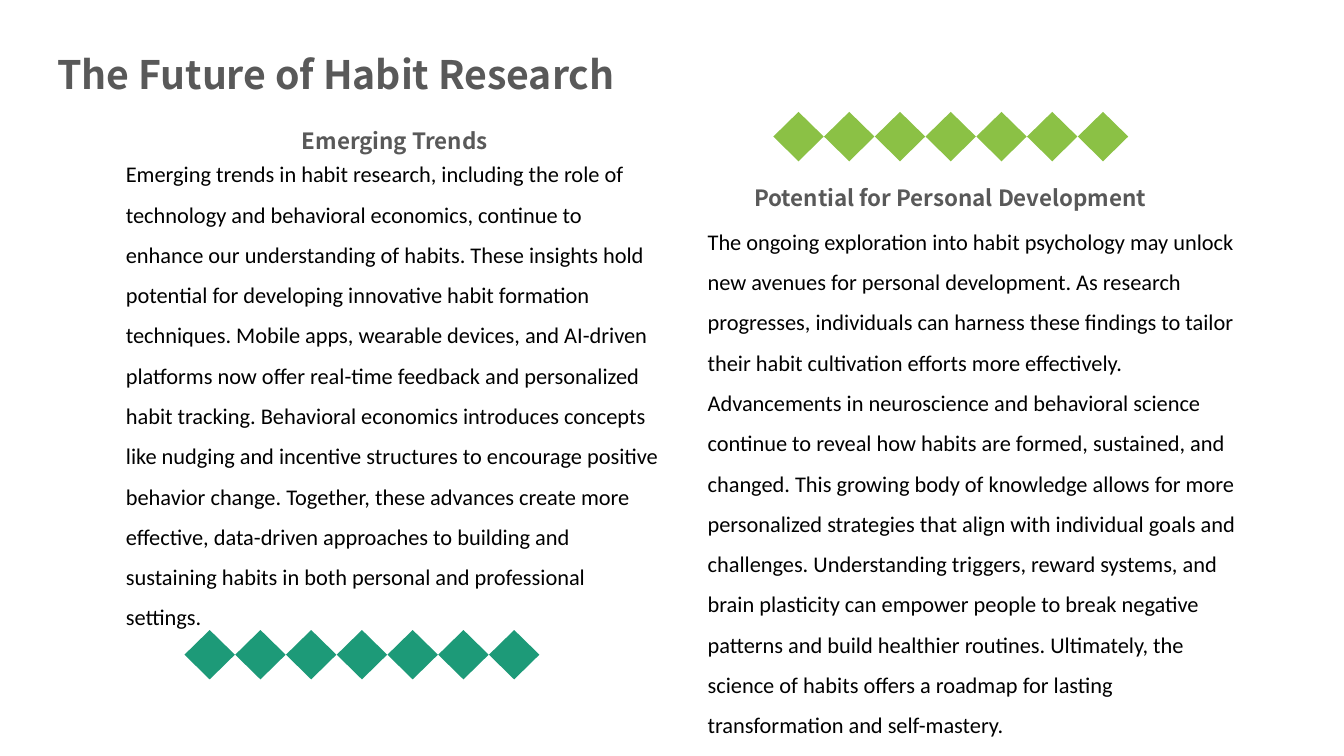
from dataclasses import dataclass
from pptx import Presentation
from pptx.dml.color import RGBColor
from pptx.enum.shapes import MSO_SHAPE
from pptx.enum.text import MSO_AUTO_SIZE, PP_ALIGN
from pptx.util import Inches, Pt

# Content
TITLE = "The Future of Habit Research"
TRENDS = (
    "Emerging trends in habit research, including the role of technology and "
    "behavioral economics, continue to enhance our understanding of habits. "
    "These insights hold potential for developing innovative habit formation "
    "techniques. Mobile apps, wearable devices, and AI-driven platforms now "
    "offer real-time feedback and personalized habit tracking. Behavioral "
    "economics introduces concepts like nudging and incentive structures to "
    "encourage positive behavior change. Together, these advances create more "
    "effective, data-driven approaches to building and sustaining habits in "
    "both personal and professional settings."
)
POTENTIAL = (
    "The ongoing exploration into habit psychology may unlock new avenues for "
    "personal development. As research progresses, individuals can harness "
    "these findings to tailor their habit cultivation efforts more "
    "effectively. Advancements in neuroscience and behavioral science continue "
    "to reveal how habits are formed, sustained, and changed. This growing "
    "body of knowledge allows for more personalized strategies that align with "
    "individual goals and challenges. Understanding triggers, reward systems, "
    "and brain plasticity can empower people to break negative patterns and "
    "build healthier routines. Ultimately, the science of habits offers a "
    "roadmap for lasting transformation and self-mastery."
)


@dataclass(frozen=True)
class Theme:
    head_font: str = "Noto Sans CJK SC"
    body_font: str = "Calibri"
    gray: str = "595959"
    black: str = "000000"
    teal: str = "1D9A78"
    green: str = "8BC145"
    title_size: float = 28
    text_size: float = 16
    space_before: float = 3.2


T = Theme()

# Layout in inches: each column has a heading, a body and a diamond row
COL_W, HEAD_H = 5.51, 0.4
DIAMOND_W, DIAMOND_H, DIAMOND_COUNT = 0.5, 0.49, 7
ROW_W = 3.52
COLUMNS = [
    dict(heading="Emerging Trends", head_at=(1.16, 1.16), body=TRENDS,
         body_at=(1.15, 1.41), body_h=4.9, row_at=(1.83, 6.25), color=T.teal),
    dict(heading="Potential for Personal Development", head_at=(6.67, 1.72),
         body=POTENTIAL, body_at=(6.92, 2.08), body_h=5.31,
         row_at=(7.67, 1.11), color=T.green),
]


def add_text(s, text, x, y, w, h, *, size=T.text_size, font=T.head_font,
             color=T.gray, bold=True, align=PP_ALIGN.LEFT, spacing=None):
    tf = s.shapes.add_textbox(Inches(x), Inches(y), Inches(w), Inches(h)).text_frame
    tf.word_wrap = True
    tf.auto_size = MSO_AUTO_SIZE.SHAPE_TO_FIT_TEXT
    p = tf.paragraphs[0]
    p.alignment = align
    if spacing:
        p.line_spacing = spacing
        p.space_before = Pt(T.space_before)
    r = p.add_run()
    r.text = text
    r.font.size, r.font.name, r.font.bold = Pt(size), font, bold
    r.font.color.rgb = RGBColor.from_string(color)


def add_diamond_row(s, x, y, color):
    group = s.shapes.add_group_shape()
    step = (ROW_W - DIAMOND_W) / (DIAMOND_COUNT - 1)
    for i in range(DIAMOND_COUNT):
        sp = group.shapes.add_shape(MSO_SHAPE.DIAMOND, Inches(x + i * step), Inches(y),
                                    Inches(DIAMOND_W), Inches(DIAMOND_H))
        sp.shadow.inherit = False
        sp.fill.solid()
        sp.fill.fore_color.rgb = RGBColor.from_string(color)
        sp.line.fill.background()


def main():
    prs = Presentation()
    prs.slide_width, prs.slide_height = Inches(13.33), Inches(7.5)
    s = prs.slides.add_slide(prs.slide_layouts[6])

    # Diamond rows sit behind the text
    for col in COLUMNS:
        add_diamond_row(s, *col["row_at"], col["color"])

    # Title and columns
    add_text(s, TITLE, 0.47, 0.45, 9.45, 0.57, size=T.title_size)
    for col in COLUMNS:
        add_text(s, col["body"], *col["body_at"], COL_W, col["body_h"],
                 font=T.body_font, color=T.black, bold=False, spacing=1.5)
        add_text(s, col["heading"], *col["head_at"], COL_W, HEAD_H,
                 align=PP_ALIGN.CENTER, spacing=1.2)

    prs.save("out.pptx")


if __name__ == "__main__":
    main()
